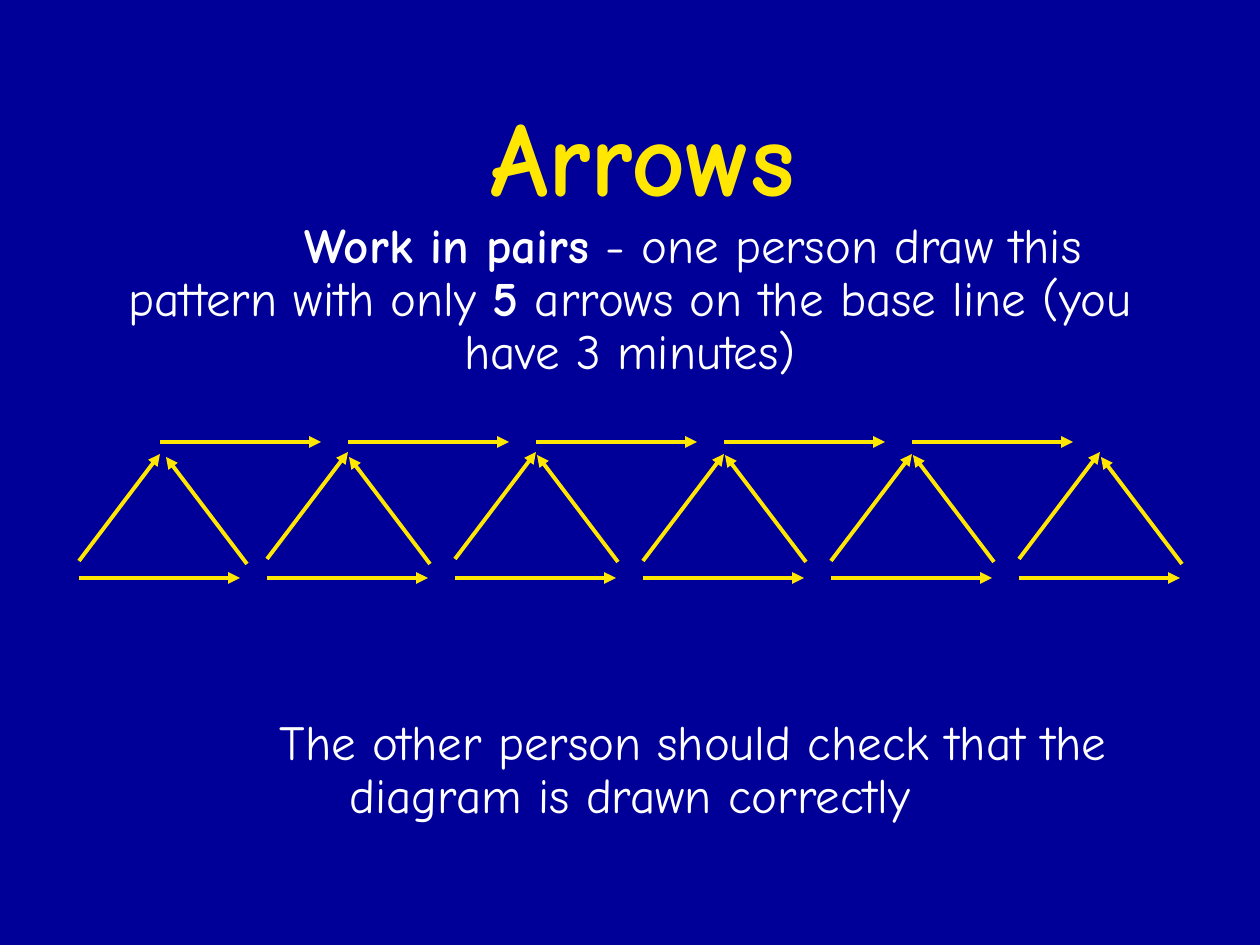
from lxml.etree import SubElement
from pptx import Presentation
from pptx.dml.color import RGBColor
from pptx.enum.shapes import MSO_CONNECTOR
from pptx.enum.text import MSO_ANCHOR, PP_ALIGN
from pptx.oxml.ns import qn
from pptx.util import Pt

NAVY = RGBColor(0x00, 0x00, 0x99)
YELLOW = RGBColor(0xFF, 0xE7, 0x01)
WHITE = RGBColor(0xFF, 0xFF, 0xFF)
FONT = "Comic Neue"
PX = 914400 // 126
FIRST_LINE_INDENT = 126

TITLE = [("Arrows", True)]
TASK = [
    ("Work in pairs", True),
    (" - one person draw this pattern with only ", False),
    ("5", True),
    (" arrows on the base line (you have 3 minutes)", False),
]
CHECK = [("The other person should check that the diagram is drawn correctly", False)]

TEXTS = [
    (TITLE, (34, 66, 1092, 158), 60, YELLOW, 1.0, MSO_ANCHOR.BOTTOM),
    (TASK, (100, 215, 1060, 175), 28, WHITE, 0.9, MSO_ANCHOR.TOP),
    (CHECK, (100, 712, 1060, 120), 28, WHITE, 0.9, MSO_ANCHOR.TOP),
]

LEFT, PITCH, LENGTH = 79, 188, 161
TOP_Y, BASE_Y = 442, 578
HALF, RISE = 81, 107
RISING_Y = [561, 559, 559, 561, 561, 559]
FALLING_START = [(168, 564), (163, 564), (163, 562), (163, 562), (163, 562), (163, 564)]


def add_text(slide, runs, box, size, color, spacing, anchor):
    shape = slide.shapes.add_textbox(*(value * PX for value in box))
    text_frame = shape.text_frame
    text_frame.word_wrap = True
    text_frame.vertical_anchor = anchor
    paragraph = text_frame.paragraphs[0]
    paragraph.alignment = PP_ALIGN.CENTER
    paragraph.line_spacing = spacing
    properties = paragraph._p.get_or_add_pPr()
    properties.set("marL", "0")
    properties.set("indent", str(FIRST_LINE_INDENT * PX))
    for text, bold in runs:
        run = paragraph.add_run()
        run.text = text
        run.font.name = FONT
        run.font.size = Pt(size)
        run.font.bold = bold
        run.font.color.rgb = color


def add_arrow(slide, x, y, dx, dy):
    ends = (x, y, x + dx, y + dy)
    arrow = slide.shapes.add_connector(
        MSO_CONNECTOR.STRAIGHT, *(value * PX for value in ends)
    )
    arrow.line.color.rgb = YELLOW
    arrow.line.width = Pt(2.25)
    properties = arrow._element.spPr
    SubElement(properties.find(qn("a:ln")), qn("a:tailEnd"), type="triangle")
    SubElement(properties, qn("a:effectLst"))


def main():
    presentation = Presentation()
    presentation.slide_width = 1260 * PX
    presentation.slide_height = 945 * PX
    slide = presentation.slides.add_slide(presentation.slide_layouts[6])
    slide.background.fill.solid()
    slide.background.fill.fore_color.rgb = NAVY

    for text in TEXTS:
        add_text(slide, *text)

    for index, (rising_y, falling) in enumerate(zip(RISING_Y, FALLING_START)):
        x = LEFT + index * PITCH
        falling_dx, falling_y = falling
        if index < len(RISING_Y) - 1:
            add_arrow(slide, x + HALF, TOP_Y, LENGTH, 0)
        add_arrow(slide, x, BASE_Y, LENGTH, 0)
        add_arrow(slide, x, rising_y, HALF, -RISE)
        add_arrow(slide, x + falling_dx, falling_y, -HALF, -RISE)

    presentation.save("out.pptx")


if __name__ == "__main__":
    main()
